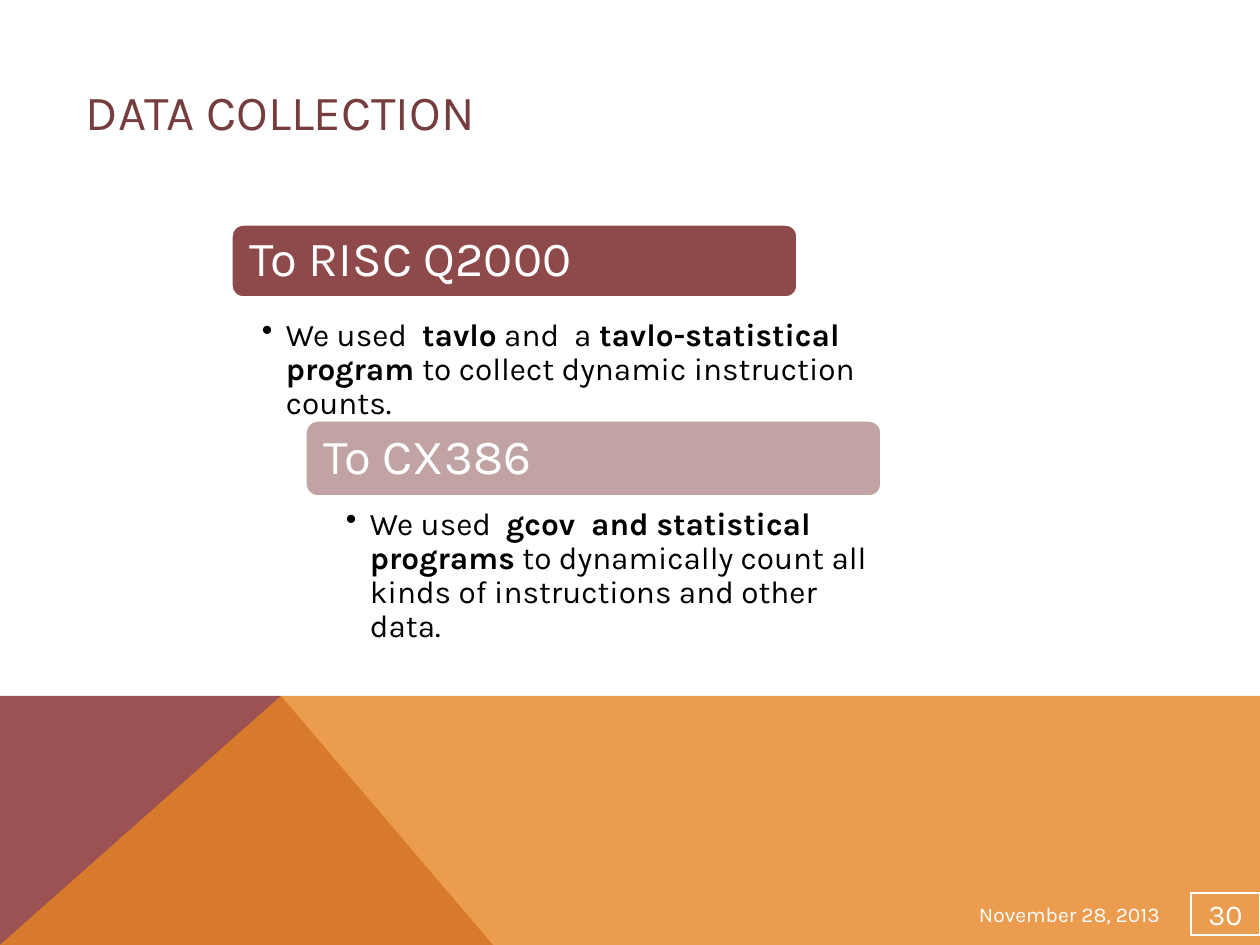
from lxml import etree
from pptx import Presentation
from pptx import util as u
from pptx.dml.color import RGBColor
from pptx.enum import shapes, text
from pptx.oxml.ns import qn

THEME = {
    "font": "Karla",
    "white": "FFFFFF", "ink": "000000", "title": "753D3D",
    "maroon": "9C5252", "orange": "E68422",
    "title_size": 28, "body_size": 18, "date_size": 12, "number_size": 16.5,
}
EMU_PER_PX = 914400 / 126

TITLE = "DATA COLLECTION"
DATE = "November 28, 2013"
NUMBER = "30"
SECTIONS = [
    {"heading": "To RISC Q2000", "fill": "8E4A4A",
     "bar": (231, 224, 567, 74), "body": (231, 315, 683, 146),
     "runs": [("We used  ", False), ("tavlo", True), (" and  a ", False),
              ("tavlo-statistical program ", True),
              ("to collect dynamic instruction counts.", False)]},
    {"heading": "To CX386", "fill": "C1A3A3",
     "bar": (305, 420, 577, 77), "body": (315, 504, 577, 146),
     "runs": [("We used  ", False), ("gcov  and statistical programs", True),
              (" to dynamically count all kinds of instructions and other data.", False)]},
]
BANDS = [
    ("maroon", None, [(0, 945), (0, 696), (281, 696), (493, 945)]),
    ("orange", 80, [(0, 945), (281, 696), (1260, 696), (1260, 945)]),
]


def px(length):
    return u.Emu(round(length * EMU_PER_PX))


def rgb(colour):
    return RGBColor.from_string(THEME.get(colour, colour))


def paint(shape, fill=None, line=None, width=0):
    shape.shadow.inherit = False
    if fill:
        shape.fill.solid()
        shape.fill.fore_color.rgb = rgb(fill)
    else:
        shape.fill.background()
    if line:
        shape.line.color.rgb = rgb(line)
        shape.line.width = u.Pt(width)
    else:
        shape.line.fill.background()


def add_band(slide, colour, opacity, points):
    builder = slide.shapes.build_freeform(*map(px, points[0]), scale=1.0)
    builder.add_line_segments([tuple(map(px, point)) for point in points[1:]], close=True)
    band = builder.convert_to_shape()
    paint(band, colour)
    if opacity:
        swatch = band.fill._xPr.find(qn("a:solidFill"))[0]
        etree.SubElement(swatch, qn("a:alpha")).set("val", str(opacity * 1000))


def write(shape, runs, size, colour, insets=(13, 6, 13, 6), anchor="MIDDLE",
          align="LEFT", spacing=None, bullet=False):
    frame = shape.text_frame
    sides = ("margin_left", "margin_top", "margin_right", "margin_bottom")
    settings = dict(zip(sides, map(px, insets)), word_wrap=True,
                    vertical_anchor=text.MSO_ANCHOR[anchor])
    for name, value in settings.items():
        setattr(frame, name, value)
    paragraph = frame.paragraphs[0]
    paragraph.alignment = text.PP_ALIGN[align]
    if spacing:
        paragraph.line_spacing = spacing
    if bullet:
        properties = paragraph._p.get_or_add_pPr()
        properties.set("marL", str(px(24)))
        properties.set("indent", str(px(-24)))
        etree.SubElement(properties, qn("a:buChar")).set("char", "•")
    for wording, bold in runs:
        run = paragraph.add_run()
        run.text = wording
        style = {"name": THEME["font"], "size": u.Pt(THEME[size]), "bold": bold}
        for name, value in style.items():
            setattr(run.font, name, value)
        run.font.color.rgb = rgb(colour)


def add_text(slide, box, *content, **layout):
    write(slide.shapes.add_textbox(*map(px, box)), *content, **layout)


def add_section(slide, section):
    bar = slide.shapes.add_shape(shapes.MSO_SHAPE.ROUNDED_RECTANGLE,
                                 *map(px, section["bar"]))
    paint(bar, section["fill"], "white", 2)
    left, top, width, height = section["bar"]
    add_text(slide, (left + 4, top + 4, width - 8, height - 8),
             [(section["heading"], False)], "title_size", "white",
             insets=(15, 15, 15, 15), spacing=0.9)
    add_text(slide, section["body"], section["runs"], "body_size", "ink",
             insets=(31, 4, 18, 4), anchor="TOP", spacing=0.9, bullet=True)


def main():
    deck = Presentation()
    deck.slide_width, deck.slide_height = px(1260), px(945)
    slide = deck.slides.add_slide(deck.slide_layouts[6])
    for band in BANDS:
        add_band(slide, *band)
    add_text(slide, (73, 73, 1036, 76), [(TITLE, False)], "title_size", "title")
    add_text(slide, (966, 893, 294, 42), [(DATE, False)], "date_size", "white")
    number = slide.shapes.add_shape(shapes.MSO_SHAPE.RECTANGLE,
                                    *map(px, (1191, 893, 69, 42)))
    paint(number, line="white", width=1.5)
    write(number, [(NUMBER, False)], "number_size", "white",
          insets=(1, 1, 1, 1), align="CENTER")
    for section in SECTIONS:
        add_section(slide, section)
    deck.save("out.pptx")


if __name__ == "__main__":
    main()
